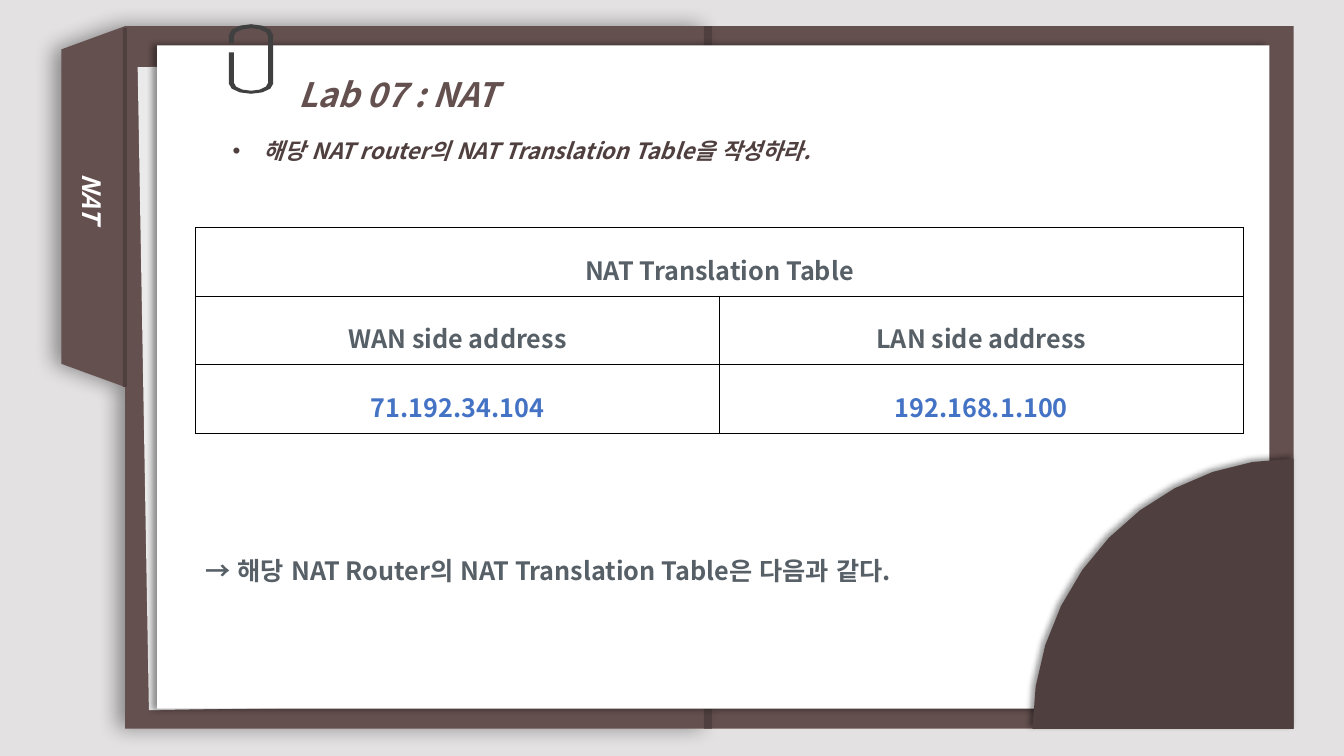
import math
from lxml import etree
from pptx import Presentation, util as u
from pptx.dml.color import RGBColor
from pptx.enum import lang, shapes, text
from pptx.oxml.ns import qn

FONT = "Noto Sans CJK KR"
BROWN, DARK, GREY, BLUE = "64504F", "4F403F", "576067", "4472C4"


def paint(fill, color):
    fill.solid()
    fill.fore_color.rgb = RGBColor.from_string(color)


def write(tf, words, size=18, color=GREY, italic=False, align=text.PP_ALIGN.LEFT, spacing=None):
    p = tf.paragraphs[0]
    p.alignment = align
    if spacing:
        p.line_spacing = spacing
    r = p.add_run()
    r.text = words
    r.font.size, r.font.name = u.Pt(size), FONT
    r.font.bold, r.font.italic = True, italic
    r.font.language_id = lang.MSO_LANGUAGE_ID.KOREAN
    paint(r.font.fill, color)
    etree.SubElement(r.font._element, qn("a:ea"), typeface=FONT)
    return p


prs = Presentation()
prs.slide_width, prs.slide_height = u.Inches(13.33), u.Inches(7.5)
s = prs.slides.add_slide(prs.slide_layouts[6])
paint(s.background.fill, "E3E1E1")

folder = [(1.24, 0.26), (7.03, 0.26), (7.03, 7.23), (1.24, 7.23),
          (1.24, 3.84), (0.61, 3.61), (0.61, 0.49)]
clip = [(2.49, 0.35, 0.22, 0.11, 180, 360), (2.49, 0.83, 0.22, 0.1, 0, 180),
        (2.27, 0.52), (2.32, 0.52),
        (2.49, 0.82, 0.17, 0.08, 180, 0), (2.49, 0.36, 0.17, 0.08, 360, 180),
        (2.32, 0.43), (2.27, 0.43)]
corner = [(12.83, 7.23), (12.83, 7.23, 2.59, 2.68, 180, 270)]

parts = [
    ((7.03, 0.26, 5.8, 6.97), BROWN, 0, None),
    (folder, BROWN, 0, (15, 5, 180)),
    ((6.98, 0.26, 0.08, 6.97), DARK, 0, None),
    ((1.22, 0.28, 0.04, 3.56), DARK, 0, None),
    ((1.42, 0.57, 11.03, 6.38), "EAEAEA", 359, None),
    ((1.56, 0.45, 11.03, 6.58), "FFFFFF", 0, (4, 3, 180)),
    (clip, "404040", 0, None),
    (corner, DARK, 0, (4, 3, 225)),
]
for outline, color, rotation, shadow in parts:
    if isinstance(outline, tuple):
        sp = s.shapes.add_shape(shapes.MSO_SHAPE.RECTANGLE, *map(u.Inches, outline))
    else:
        points = []
        for piece in outline:
            if len(piece) == 2:
                points.append(piece)
                continue
            cx, cy, rx, ry, start, end = piece
            steps = 10 if rx > 1 else 6
            for i in range(steps + 1):
                angle = math.radians(start + (end - start) * i / steps)
                points.append((cx + rx * math.cos(angle), cy + ry * math.sin(angle)))
        points = [(u.Inches(x), u.Inches(y)) for x, y in points]
        builder = s.shapes.build_freeform(*points[0])
        builder.add_line_segments(points[1:], close=True)
        sp = builder.convert_to_shape()
    paint(sp.fill, color)
    sp.line.fill.background()
    sp.rotation = rotation
    sp.shadow.inherit = False
    if shadow:
        blur, dist, direction = shadow
        effects = sp._element.spPr.find(qn("a:effectLst"))
        outer = etree.SubElement(effects, qn("a:outerShdw"), blurRad=str(u.Pt(blur)),
                                 dist=str(u.Pt(dist)), dir=str(direction * 60000),
                                 algn="ctr", rotWithShape="0")
        shade = etree.SubElement(outer, qn("a:srgbClr"), val="000000")
        etree.SubElement(shade, qn("a:alpha"), val="40000")

labels = [
    ((0.56, 1.76, 0.71, 0.4), "NAT", 90,
     dict(color="FFFFFF", italic=True, align=text.PP_ALIGN.CENTER)),
    ((2.86, 0.68, 9.26, 0.5), "Lab 07 : NAT", 0, dict(size=24, color=BROWN, italic=True)),
    ((2.21, 1.18, 10.39, 0.45), "해당 NAT router의 NAT Translation Table을 작성하라.", 0,
     dict(size=16, color=DARK, italic=True, spacing=1.5)),
    ((1.94, 5.46, 7.39, 0.4), "→ 해당 NAT Router의 NAT Translation Table은 다음과 같다.", 0, {}),
]
for box, words, rotation, style in labels:
    sp = s.shapes.add_textbox(*map(u.Inches, box))
    sp.rotation = rotation
    tf = sp.text_frame
    tf.word_wrap = rotation == 0
    tf.auto_size = text.MSO_AUTO_SIZE.SHAPE_TO_FIT_TEXT
    p = write(tf, words, **style)
    if "spacing" in style:
        pPr = p._p.get_or_add_pPr()
        pPr.set("marL", str(u.Inches(0.31)))
        pPr.set("indent", str(u.Inches(-0.31)))
        etree.SubElement(pPr, qn("a:buFont"), typeface="Arial")
        etree.SubElement(pPr, qn("a:buChar"), char="•")

rows = [("NAT Translation Table", ""),
        ("WAN side address", "LAN side address"),
        ("71.192.34.104", "192.168.1.100")]
table = s.shapes.add_table(3, 2, *map(u.Inches, (1.94, 2.26, 10.39, 2.04))).table
table.first_row = table.horz_banding = False
table.cell(0, 0).merge(table.cell(0, 1))
for i, row in enumerate(rows):
    table.rows[i].height = u.Inches(0.68)
    for j, words in enumerate(row):
        cell = table.cell(i, j)
        cell.fill.background()
        cell.vertical_anchor = text.MSO_ANCHOR.TOP
        if words:
            write(cell.text_frame, words, color=BLUE if i == 2 else GREY,
                  align=text.PP_ALIGN.CENTER, spacing=1.5)
        tcPr = cell._tc.get_or_add_tcPr()
        for k, side in enumerate(("lnL", "lnR", "lnT", "lnB")):
            ln = etree.Element(qn("a:" + side), w=str(u.Pt(1)))
            solid = etree.SubElement(ln, qn("a:solidFill"))
            etree.SubElement(solid, qn("a:srgbClr"), val="000000")
            tcPr.insert(k, ln)

prs.save("out.pptx")
